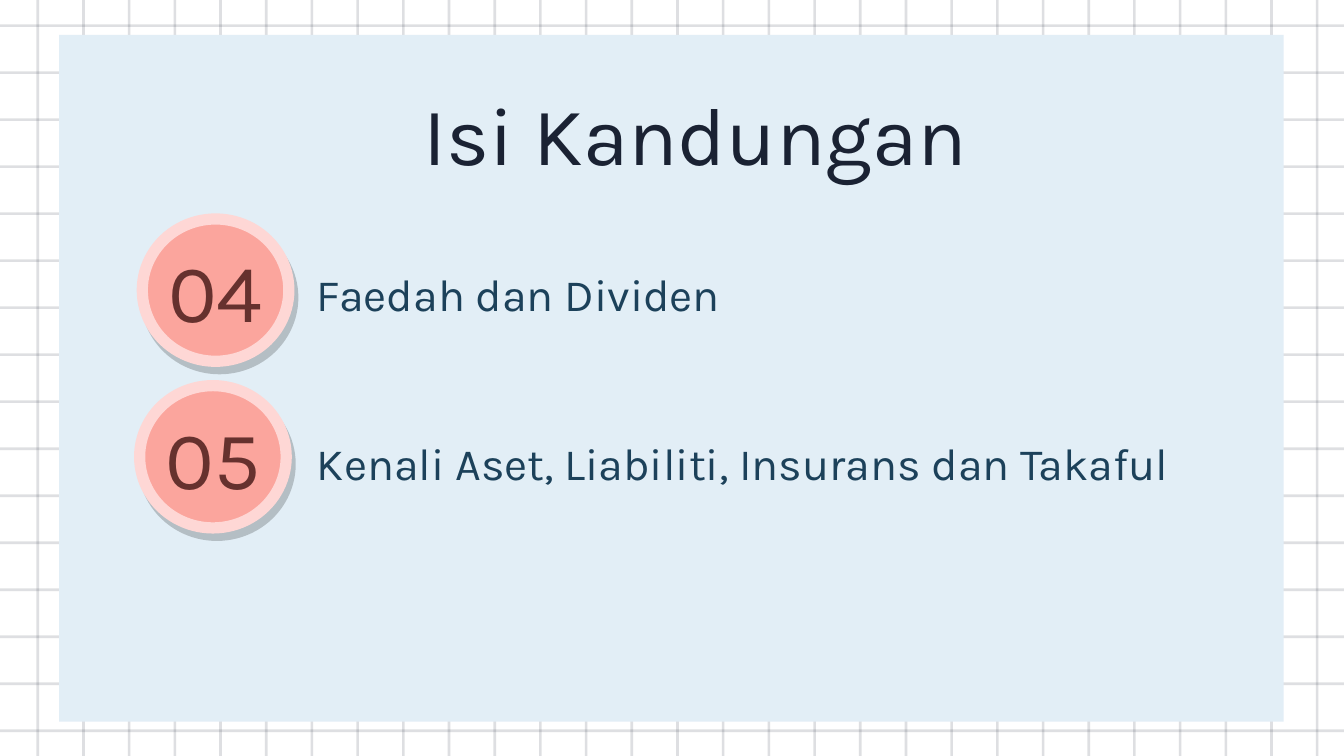
from dataclasses import dataclass
from typing import NamedTuple

from pptx import Presentation
from pptx import util as u
from pptx.dml.color import RGBColor
from pptx.enum import shapes, text
from pptx.oxml import parse_xml
from pptx.oxml.ns import nsdecls, qn


@dataclass(frozen=True)
class Theme:
    font: str = "Karla"
    ink: str = "1A2233"
    panel: str = "E2EEF6"
    label: str = "1C415A"
    number: str = "66312E"
    badge: str = "FBA59D"
    badge_rim: str = "FED7D5"
    shadow: str = "000000"
    heading_size: int = 44
    label_size: int = 24
    rim_width: int = 6
    grid_alpha: int = 14
    shadow_alpha: int = 20


class Box(NamedTuple):
    left: float
    top: float
    width: float
    height: float


@dataclass(frozen=True)
class Topic:
    number: str
    title: str
    badge: Box
    label: Box


THEME = Theme()
PAGE_WIDTH, PAGE_HEIGHT = 25.4, 14.29
GRID_ROWS, GRID_COLUMNS = 16, 29
FIRST_ROW, LAST_ROW = 0.46, 13.79
FIRST_COLUMN, LAST_COLUMN = 0.69, 24.87
GRID_LINE = 0.05
NUMBER_DROP, NUMBER_HEIGHT = 0.66, 1.35

TOPICS = [
    Topic("04", "Faedah dan Dividen",
          Box(2.69, 4.14, 2.77, 2.69), Box(5.74, 4.7, 15.01, 1.6)),
    Topic("05", "Kenali Aset, Liabiliti, Insurans dan Takaful",
          Box(2.64, 7.29, 2.77, 2.69), Box(5.74, 7.72, 18.08, 1.78)),
]


def lengths(box: Box) -> list[u.Length]:
    return [u.Cm(value) for value in box]


def add_filled(parent, kind, box: Box, color: str):
    shape = parent.add_shape(kind, *lengths(box))
    shape.shadow.inherit = False
    shape.fill.solid()
    shape.fill.fore_color.rgb = RGBColor.from_string(color)
    shape.line.fill.background()
    return shape


def add_text(slide, content: str, box: Box, *, size: int, color: str,
             align=text.PP_ALIGN.LEFT, anchor=text.MSO_ANCHOR.BOTTOM,
             inset: float = 0.25) -> None:
    frame = slide.shapes.add_textbox(*lengths(box)).text_frame
    frame.word_wrap = True
    frame.vertical_anchor = anchor
    frame.margin_left = frame.margin_right = u.Cm(inset)
    frame.margin_top = frame.margin_bottom = u.Cm(inset)
    paragraph = frame.paragraphs[0]
    paragraph.alignment = align
    run = paragraph.add_run()
    run.text = content
    run.font.name = THEME.font
    run.font.size = u.Pt(size)
    run.font.color.rgb = RGBColor.from_string(color)


def draw_grid(slide) -> None:
    grid = slide.shapes.add_group_shape().shapes
    row_pitch = (LAST_ROW - FIRST_ROW) / (GRID_ROWS - 1)
    column_pitch = (LAST_COLUMN - FIRST_COLUMN) / (GRID_COLUMNS - 1)
    rows = [Box(-0.2, FIRST_ROW + i * row_pitch, 25.8, GRID_LINE)
            for i in range(GRID_ROWS)]
    columns = [Box(FIRST_COLUMN + i * column_pitch, -0.4, GRID_LINE, 14.86)
               for i in range(GRID_COLUMNS)]
    for box in rows + columns:
        rule = add_filled(grid, shapes.MSO_SHAPE.RECTANGLE, box, THEME.ink)
        tint = rule._element.spPr.find(qn("a:solidFill"))[0]
        tint.append(parse_xml(
            f'<a:alpha {nsdecls("a")} val="{THEME.grid_alpha * 1000}"/>'))


def draw_badge(slide, box: Box) -> None:
    badge = add_filled(slide.shapes, shapes.MSO_SHAPE.OVAL, box, THEME.badge)
    badge.line.color.rgb = RGBColor.from_string(THEME.badge_rim)
    badge.line.width = u.Pt(THEME.rim_width)
    badge._element.spPr.find(qn("a:effectLst")).append(parse_xml(
        f'<a:outerShdw {nsdecls("a")} blurRad="0" dist="{u.Pt(4.5)}" '
        f'dir="{62 * 60000}" algn="bl" rotWithShape="0">'
        f'<a:srgbClr val="{THEME.shadow}">'
        f'<a:alpha val="{THEME.shadow_alpha * 1000}"/>'
        '</a:srgbClr></a:outerShdw>'))


def draw_topic(slide, topic: Topic) -> None:
    draw_badge(slide, topic.badge)
    number_box = topic.badge._replace(
        top=topic.badge.top + NUMBER_DROP, height=NUMBER_HEIGHT)
    add_text(slide, topic.number, number_box, size=THEME.heading_size,
             color=THEME.number, align=text.PP_ALIGN.CENTER,
             anchor=text.MSO_ANCHOR.MIDDLE, inset=0.33)
    add_text(slide, topic.title, topic.label, size=THEME.label_size,
             color=THEME.label)


def main() -> None:
    deck = Presentation()
    deck.slide_width, deck.slide_height = u.Cm(PAGE_WIDTH), u.Cm(PAGE_HEIGHT)
    slide = deck.slides.add_slide(deck.slide_layouts[6])
    draw_grid(slide)
    add_filled(slide.shapes, shapes.MSO_SHAPE.RECTANGLE,
               Box(1.12, 0.66, 23.14, 12.98), THEME.panel)
    add_text(slide, "Isi Kandungan", Box(4.8, 1.14, 16.69, 2.54),
             size=THEME.heading_size, color=THEME.ink,
             align=text.PP_ALIGN.CENTER)
    for topic in TOPICS:
        draw_topic(slide, topic)
    deck.save("out.pptx")


if __name__ == "__main__":
    main()
